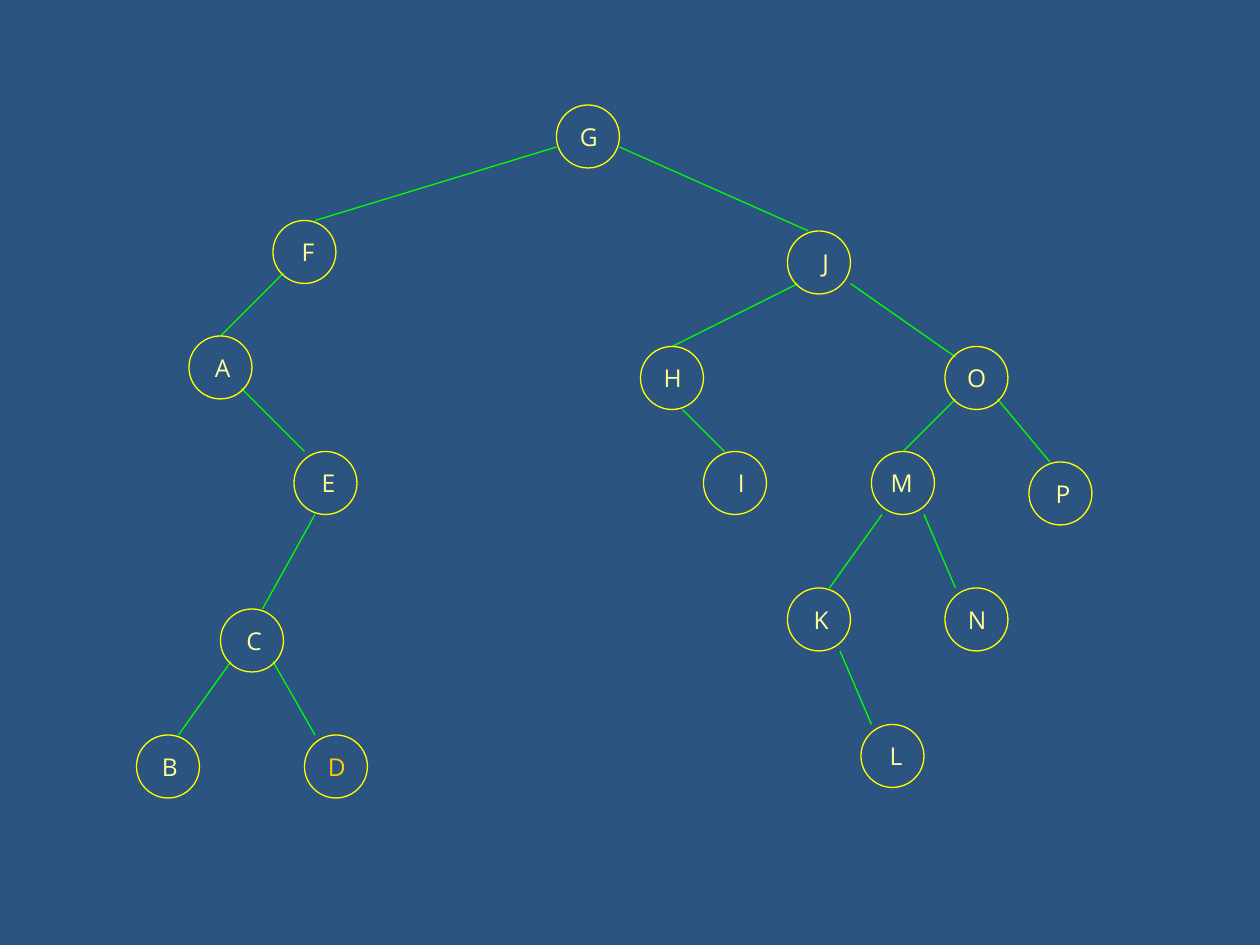
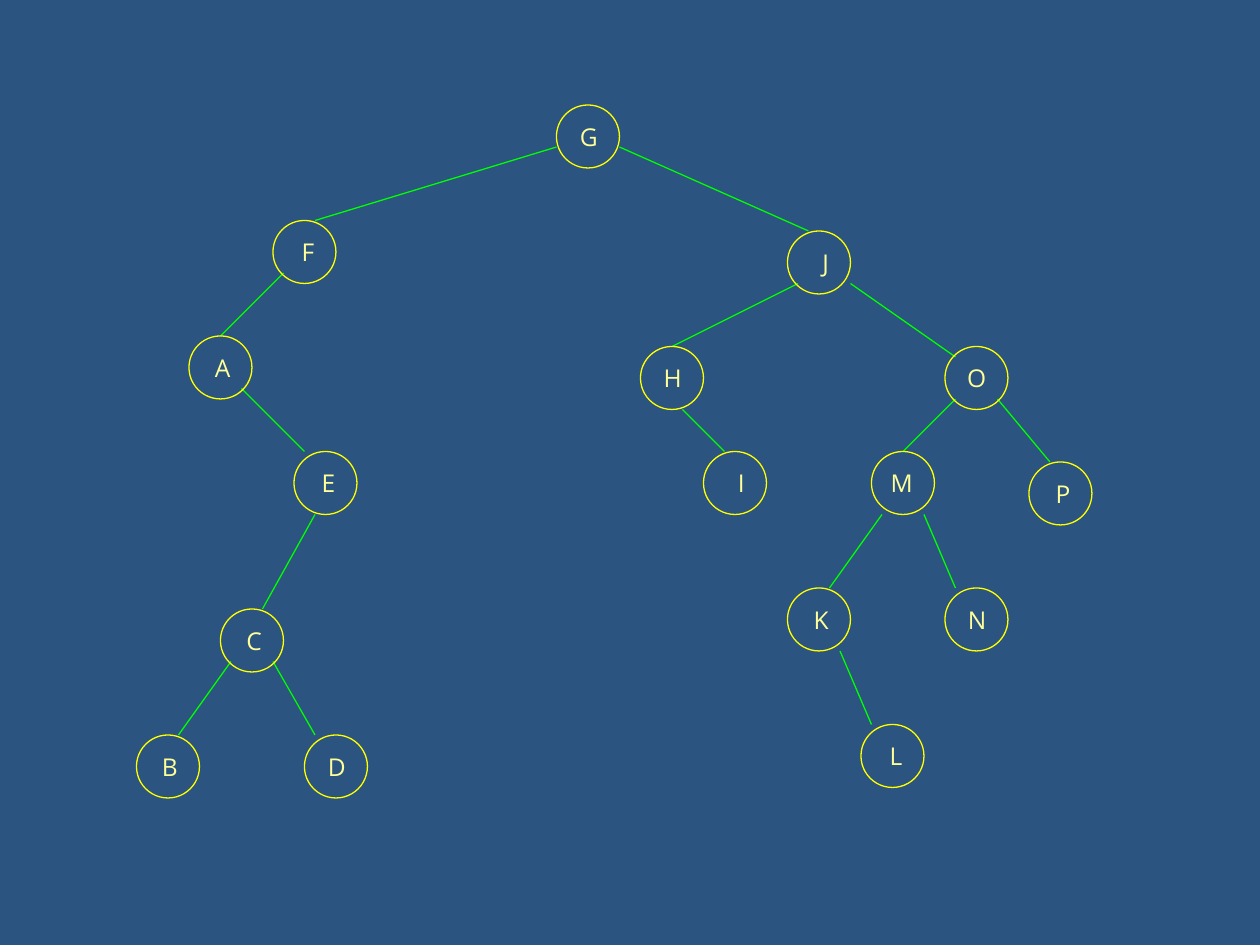
from pptx import Presentation
from pptx import util as u
from pptx.dml import color
from pptx.enum import shapes, text
from pptx.oxml import ns

BACKGROUND = "2B5481"
OUTLINE = "FFFF00"
BRANCH = "00FF00"
LETTER = "FFFF99"
HIGHLIGHT = "FFCC00"
FONT = "Open Sans"
GRID = 6
DIAMETER = 36
LINE_WIDTH = 0.75

NODES = {
    "G": (53, 10), "F": (26, 21), "J": (75, 22), "A": (18, 32),
    "H": (61, 33), "O": (90, 33), "E": (28, 43), "I": (67, 43),
    "M": (83, 43), "P": (98, 44), "C": (21, 58), "K": (75, 56),
    "N": (90, 56), "B": (13, 70), "D": (29, 70), "L": (82, 69),
}

BRANCHES = [
    ("G", (0, 4), "F", (4, 0)),
    ("G", (6, 4), "J", (2, 0)),
    ("F", (1, 5), "A", (3, 0)),
    ("A", (5, 5), "E", (1, 0)),
    ("E", (2, 6), "C", (4, 0)),
    ("C", (1, 5), "B", (4, 0)),
    ("C", (5, 5), "D", (1, 0)),
    ("J", (1, 5), "H", (3, 0)),
    ("J", (6, 5), "O", (1, 1)),
    ("H", (4, 6), "I", (2, 0)),
    ("O", (1, 5), "M", (3, 0)),
    ("O", (5, 5), "P", (2, 0)),
    ("M", (1, 6), "K", (4, 0)),
    ("M", (5, 6), "N", (1, 0)),
    ("K", (5, 6), "L", (1, 0)),
]


def paint(target, value):
    """Give a colour format the colour of a hex string."""
    target.rgb = color.RGBColor.from_string(value)


def grid_point(name, offset=(0, 0)):
    """Return the place of a node's corner, moved by an offset in grid steps."""
    return [u.Pt(GRID * (start + step)) for start, step in zip(NODES[name], offset)]


def style_line(line, value):
    """Set the colour and the shared width of a line."""
    paint(line.fill_color if hasattr(line, "fill_color") else line.color, value)
    line.width = u.Pt(LINE_WIDTH)


def add_node(page, name, letter_colour):
    """Draw one circle of the tree with its letter."""
    left, top = grid_point(name)
    node = page.shapes.add_shape(
        shapes.MSO_SHAPE.OVAL, left, top, u.Pt(DIAMETER), u.Pt(DIAMETER))
    node.shadow.inherit = False
    node.fill.background()
    style_line(node.line, OUTLINE)
    frame = node.text_frame
    frame.text = name
    frame.word_wrap = False
    frame.vertical_anchor = text.MSO_ANCHOR.MIDDLE
    para = frame.paragraphs[0]
    para.alignment = text.PP_ALIGN.RIGHT
    para.space_before = u.Pt(2.8)
    properties = para._p.get_or_add_pPr()
    properties.set("marL", str(u.Pt(22.5)))
    properties.set("indent", str(u.Pt(-22.5)))
    font = para.runs[0].font
    font.name = FONT
    font.size = u.Pt(14)
    paint(font.color, letter_colour)


def add_branch(page, parent, leave, child, arrive):
    """Draw the line from a parent node to its child."""
    branch = page.shapes.add_connector(
        shapes.MSO_CONNECTOR.STRAIGHT,
        *grid_point(parent, leave), *grid_point(child, arrive))
    style_line(branch.line, BRANCH)
    effects = branch._element.spPr.makeelement(ns.qn("a:effectLst"), {})
    branch._element.spPr.append(effects)


def add_tree_page(deck, highlighted=""):
    """Add a page with the whole tree and the given letters highlighted."""
    page = deck.slides.add_slide(deck.slide_layouts[6])
    for branch in BRANCHES:
        add_branch(page, *branch)
    for name in NODES:
        add_node(page, name, HIGHLIGHT if name in highlighted else LETTER)


def main():
    """Build the two tree pages and save the deck."""
    deck = Presentation()
    deck.slide_width, deck.slide_height = u.Pt(720), u.Pt(540)
    backdrop = deck.slide_master.background.fill
    backdrop.solid()
    paint(backdrop.fore_color, BACKGROUND)
    add_tree_page(deck, highlighted="D")
    add_tree_page(deck)
    deck.save("out.pptx")


main()
